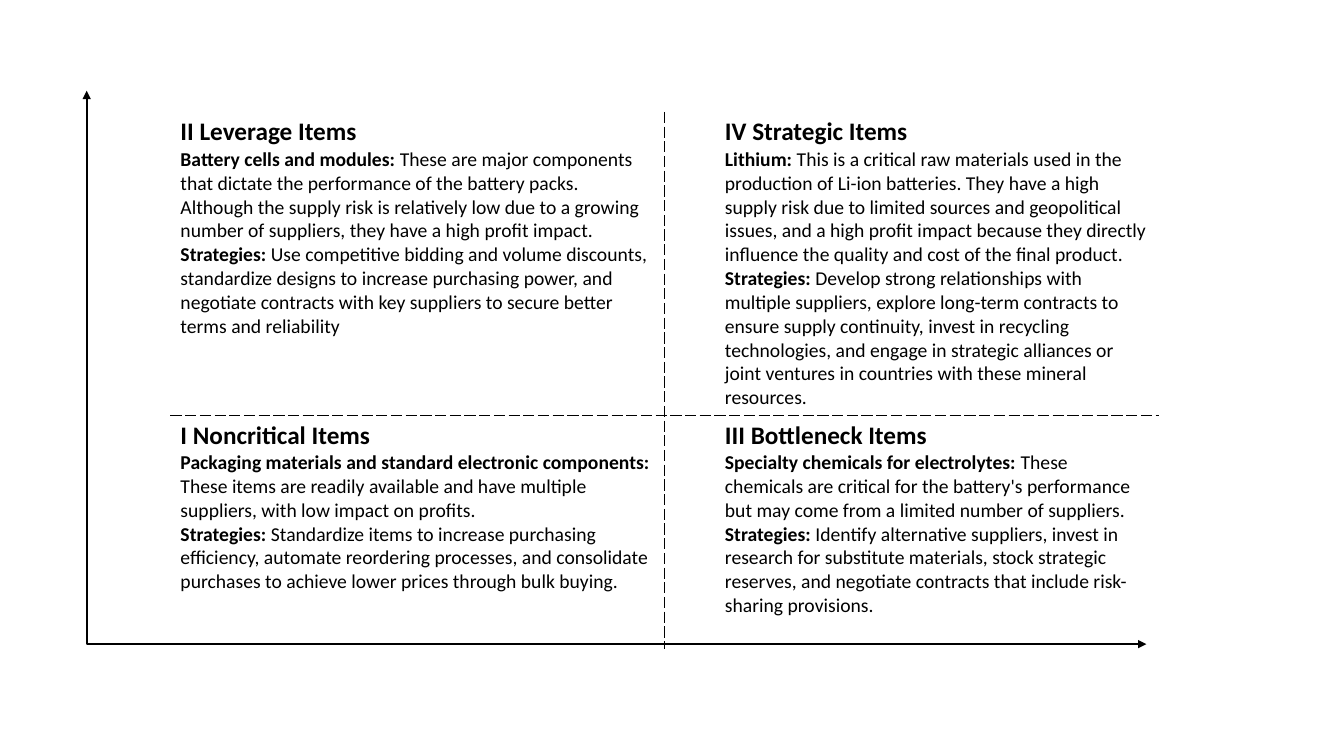
from lxml import etree
from pptx import Presentation
from pptx.dml.color import RGBColor
from pptx.enum.dml import MSO_LINE_DASH_STYLE as DASH
from pptx.enum.shapes import MSO_CONNECTOR
from pptx.oxml import parse_xml
from pptx.oxml.ns import nsdecls, qn
from pptx.util import Inches, Pt

# Content: rows of quadrants, each a title and (label, text) paragraphs
QUADRANTS = [
    [
        ("II Leverage Items", [
            ("Battery cells and modules: ",
             "These are major components that dictate the performance of the battery packs. "
             "Although the supply risk is relatively low due to a growing number of suppliers, "
             "they have a high profit impact."),
            ("Strategies: ",
             "Use competitive bidding and volume discounts, standardize designs to increase "
             "purchasing power, and negotiate contracts with key suppliers to secure better "
             "terms and reliability"),
        ]),
        ("IV Strategic Items", [
            ("Lithium: ",
             "This is a critical raw materials used in the production of Li-ion batteries. "
             "They have a high supply risk due to limited sources and geopolitical issues, and "
             "a high profit impact because they directly influence the quality and cost of the "
             "final product."),
            ("Strategies: ",
             "Develop strong relationships with multiple suppliers, explore long-term contracts "
             "to ensure supply continuity, invest in recycling technologies, and engage in "
             "strategic alliances or joint ventures in countries with these mineral resources."),
        ]),
    ],
    [
        ("I Noncritical Items", [
            ("Packaging materials and standard electronic components: ",
             "These items are readily available and have multiple suppliers, with low impact "
             "on profits."),
            ("Strategies: ",
             "Standardize items to increase purchasing efficiency, automate reordering "
             "processes, and consolidate purchases to achieve lower prices through bulk buying."),
        ]),
        ("III Bottleneck Items", [
            ("Specialty chemicals for electrolytes: ",
             "These chemicals are critical for the battery's performance but may come from a "
             "limited number of suppliers."),
            ("Strategies: ",
             "Identify alternative suppliers, invest in research for substitute materials, "
             "stock strategic reserves, and negotiate contracts that include risk-sharing "
             "provisions."),
        ]),
    ],
]
BLACK = RGBColor(0, 0, 0)
FONT = "Calibri"
COL_WIDTH = 4.9
ROW_HEIGHTS = [2.8, 2.32]
TEXT_INSETS = [0.1, 0.6]
NO_STYLE = "{2D5ABB26-0587-4C30-8999-92F81FD0307C}"


def add_paragraph(p, size, runs):
    p.font.name = FONT
    p.font.size = Pt(size)
    p.font.color.rgb = BLACK
    for text, bold in runs:
        r = p.add_run()
        r.text = text
        r.font.bold = bold


def add_dashed_border(cell, side):
    cell._tc.get_or_add_tcPr().append(parse_xml(
        f'<a:{side} {nsdecls("a")} w="{Pt(1)}"><a:solidFill><a:srgbClr val="{BLACK}"/>'
        f'</a:solidFill><a:prstDash val="{DASH.to_xml(DASH.DASH)}"/></a:{side}>'))


prs = Presentation()
prs.slide_width, prs.slide_height = Inches(13.33), Inches(7.5)
s = prs.slides.add_slide(prs.slide_layouts[6])

# Both axes: one elbow with its corner at the bottom left
axes = s.shapes.add_connector(
    MSO_CONNECTOR.ELBOW, Inches(0.86), Inches(0.9), Inches(11.37), Inches(6.39))
axes.line.color.rgb = BLACK
axes.line.width = Pt(1.5)
spPr = axes._element.spPr
guides = spPr.find(qn("a:prstGeom")).get_or_add_avLst()
etree.SubElement(guides, qn("a:gd"), name="adj1", fmla="val 0")
for end in ("a:headEnd", "a:tailEnd"):
    etree.SubElement(axes.line._get_or_add_ln(), qn(end), type="triangle")
etree.SubElement(spPr, qn("a:effectLst"))

# Quadrant table
table = s.shapes.add_table(
    2, 2, Inches(1.69), Inches(1.11),
    Inches(2 * COL_WIDTH), Inches(sum(ROW_HEIGHTS))).table
table.first_row = table.horz_banding = False
table._tbl.tblPr.find(qn("a:tableStyleId")).text = NO_STYLE
for column in table.columns:
    column.width = Inches(COL_WIDTH)

for i, quadrants in enumerate(QUADRANTS):
    table.rows[i].height = Inches(ROW_HEIGHTS[i])
    for j, (title, details) in enumerate(quadrants):
        cell = table.cell(i, j)
        cell.margin_left = Inches(TEXT_INSETS[j])
        # Only the inner sides are ruled
        add_dashed_border(cell, ("lnR", "lnL")[j])
        add_dashed_border(cell, ("lnB", "lnT")[i])
        cell.fill.background()
        tf = cell.text_frame
        add_paragraph(tf.paragraphs[0], 18, [(title, True)])
        for label, text in details:
            add_paragraph(tf.add_paragraph(), 14, [(label, True), (text, False)])

prs.save("out.pptx")
